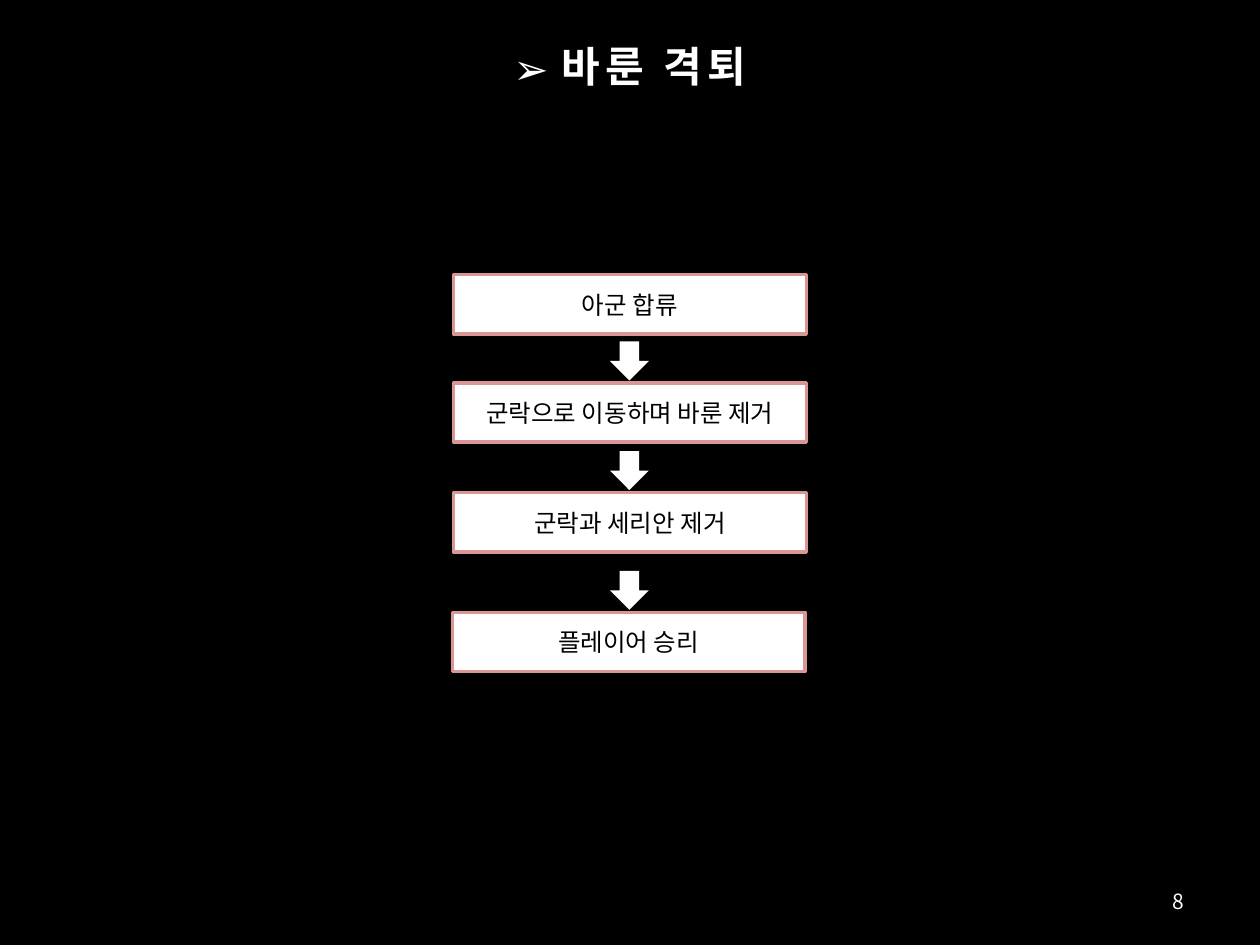
from dataclasses import dataclass

from lxml import etree
from pptx import Presentation
from pptx.dml.color import RGBColor
from pptx.enum import shapes, text
from pptx.oxml import ns
from pptx.util import Inches, Pt

COLUMNS, ROWS = 100, 75
FONT = "Noto Sans CJK KR"
WHITE, BLACK, ROSE = "FFFFFF", "000000", "D99694"

STEP_WIDTH, STEP_HEIGHT = 28, 4.7
ARROW_SIZE, ARROW_LEAD = 3.1, 3.3


@dataclass(frozen=True)
class Area:
    column: float
    row: float
    columns: float
    rows: float


@dataclass(frozen=True)
class Step:
    label: str
    column: float
    row: float


STEPS = [
    Step("아군 합류", 36, 21.8),
    Step("군락으로 이동하며 바룬 제거", 36, 30.4),
    Step("군락과 세리안 제거", 36, 39.1),
    Step("플레이어 승리", 35.9, 48.6),
]

deck = Presentation()
deck.slide_width, deck.slide_height = Inches(10), Inches(7.5)
slide = deck.slides.add_slide(deck.slide_layouts[6])


def color(value: str) -> RGBColor:
    return RGBColor.from_string(value)


def place(area: Area) -> tuple[int, int, int, int]:
    across, down = deck.slide_width / COLUMNS, deck.slide_height / ROWS
    return (round(area.column * across), round(area.row * down),
            round(area.columns * across), round(area.rows * down))


def write(shape, words: str, size: float, ink: str, align, bold: bool = False):
    frame = shape.text_frame
    frame.word_wrap = True
    frame.vertical_anchor = text.MSO_ANCHOR.MIDDLE
    paragraph = frame.paragraphs[0]
    paragraph.alignment = align
    run = paragraph.add_run()
    run.text = words
    for name, value in {"size": Pt(size), "bold": bold, "name": FONT}.items():
        setattr(run.font, name, value)
    run.font.color.rgb = color(ink)
    etree.SubElement(run.font._element, ns.qn("a:ea"), typeface=FONT)
    return paragraph


def draw(kind, area: Area, border: str | None = None):
    shape = slide.shapes.add_shape(kind, *place(area))
    shape.shadow.inherit = False
    shape.fill.solid()
    shape.fill.fore_color.rgb = color(WHITE)
    if border:
        shape.line.color.rgb = color(border)
        shape.line.width = Pt(2)
    else:
        shape.line.fill.background()
    return shape


def draw_heading(words: str) -> None:
    heading = slide.shapes.add_textbox(*place(Area(5, 1.3, 90, 7.9)))
    paragraph = write(heading, words, 24, WHITE, text.PP_ALIGN.CENTER, bold=True)
    paragraph.runs[0].font._element.set("spc", "300")
    layout = paragraph._p.get_or_add_pPr()
    for name, value in {"marL": Inches(0.38), "indent": Inches(-0.38)}.items():
        layout.set(name, str(value))
    etree.SubElement(layout, ns.qn("a:buFont"), typeface=FONT)
    etree.SubElement(layout, ns.qn("a:buChar"), char="➢")


def draw_step(step: Step) -> None:
    area = Area(step.column, step.row, STEP_WIDTH, STEP_HEIGHT)
    box = draw(shapes.MSO_SHAPE.RECTANGLE, area, ROSE)
    write(box, step.label, 14, BLACK, text.PP_ALIGN.CENTER)


def draw_arrow_to(step: Step) -> None:
    area = Area(48.4, step.row - ARROW_LEAD, ARROW_SIZE, ARROW_SIZE)
    draw(shapes.MSO_SHAPE.DOWN_ARROW, area)


def main() -> None:
    slide.background.fill.solid()
    slide.background.fill.fore_color.rgb = color(BLACK)
    draw_heading("바룬 격퇴")
    page = slide.shapes.add_textbox(*place(Area(71.7, 69.5, 23.3, 4)))
    write(page, "8", 12, WHITE, text.PP_ALIGN.RIGHT)
    for step in STEPS:
        draw_step(step)
    for step in STEPS[1:]:
        draw_arrow_to(step)
    deck.save("out.pptx")


if __name__ == "__main__":
    main()
